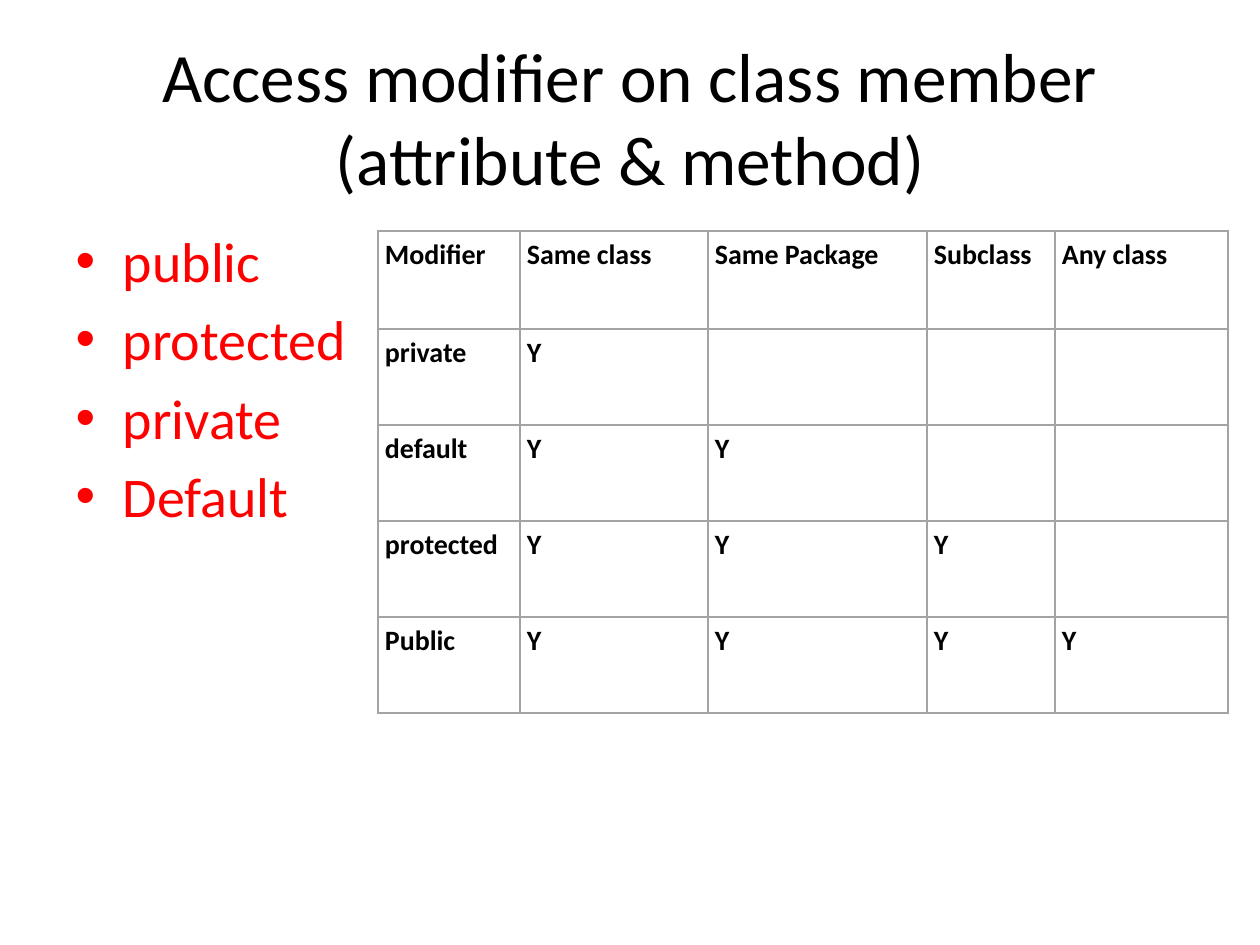
from dataclasses import dataclass

from lxml import etree
from pptx import Presentation
from pptx.dml.color import RGBColor
from pptx.enum.text import MSO_ANCHOR, MSO_AUTO_SIZE, PP_ALIGN
from pptx.oxml.ns import qn
from pptx.util import Pt

CENTER = PP_ALIGN.CENTER
MIDDLE = MSO_ANCHOR.MIDDLE
NO_AUTOFIT = MSO_AUTO_SIZE.NONE

# Content
TITLE = "Access modifier on class member (attribute & method)"
KEYWORDS = ["public", "protected", "private", "Default"]
SCOPES = ["Modifier", "Same class", "Same Package", "Subclass", "Any class"]
# Each modifier reaches one scope more than the one before it
MODIFIERS = ["private", "default", "protected", "Public"]

# Layout in px, 126 to the inch
EMU_PER_PX = 914400 / 126
SLIDE_SIZE = (1260, 945)
TITLE_BOX = (63, 38, 1134, 157)
BODY_BOX = (63, 220, 1134, 624)
TABLE_ORIGIN = (378, 231)
COLUMN_WIDTHS = [142, 188, 219, 128, 173]
HEADER_HEIGHT, ROW_HEIGHT = 98, 96
CELL_MARGIN = 7


@dataclass(frozen=True)
class Theme:
    font: str = "Calibri"
    text: str = "000000"
    keyword: str = "FF0000"
    border: str = "A3A3A3"
    title_size: float = 39.6
    body_size: float = 32
    table_size: float = 16
    border_width: float = 1


THEME = Theme()


def px(length):
    return round(length * EMU_PER_PX)


def place(shape, box):
    shape.left, shape.top, shape.width, shape.height = map(px, box)


def style_runs(text_frame, size, color, bold=False):
    for paragraph in text_frame.paragraphs:
        for run in paragraph.runs:
            run.font.name = THEME.font
            run.font.size = Pt(size)
            run.font.bold = bold
            run.font.color.rgb = RGBColor.from_string(color)


def add_borders(cell):
    properties = cell._tc.get_or_add_tcPr()
    for side in ("a:lnL", "a:lnR", "a:lnT", "a:lnB"):
        line = etree.SubElement(properties, qn(side), w=str(Pt(THEME.border_width)))
        fill = etree.SubElement(line, qn("a:solidFill"))
        etree.SubElement(fill, qn("a:srgbClr"), val=THEME.border)


def add_title(slide):
    title = slide.shapes.title
    place(title, TITLE_BOX)
    frame = title.text_frame
    frame.text = TITLE
    frame.auto_size = NO_AUTOFIT
    frame.vertical_anchor = MIDDLE
    frame.paragraphs[0].alignment = CENTER
    style_runs(frame, THEME.title_size, THEME.text)


def add_keywords(slide):
    body = slide.placeholders[1]
    place(body, BODY_BOX)
    frame = body.text_frame
    frame.text = "\n".join(KEYWORDS)
    frame.auto_size = NO_AUTOFIT
    style_runs(frame, THEME.body_size, THEME.keyword)


def add_access_table(slide):
    rows = [SCOPES]
    for reach, modifier in enumerate(MODIFIERS, start=1):
        rows.append([modifier] + ["Y"] * reach + [""] * (len(MODIFIERS) - reach))
    heights = [HEADER_HEIGHT] + [ROW_HEIGHT] * len(MODIFIERS)
    box = (*TABLE_ORIGIN, sum(COLUMN_WIDTHS), sum(heights))
    table = slide.shapes.add_table(len(rows), len(SCOPES), *map(px, box)).table
    table.first_row = table.horz_banding = False

    for column, width in zip(table.columns, COLUMN_WIDTHS):
        column.width = px(width)
    for row, height, texts in zip(table.rows, heights, rows):
        row.height = px(height)
        for cell, text in zip(row.cells, texts):
            cell.text = text
            cell.margin_left = cell.margin_right = px(CELL_MARGIN)
            cell.margin_top = cell.margin_bottom = px(CELL_MARGIN)
            style_runs(cell.text_frame, THEME.table_size, THEME.text, bold=True)
            add_borders(cell)
            cell.fill.background()


def main():
    presentation = Presentation()
    presentation.slide_width, presentation.slide_height = map(px, SLIDE_SIZE)
    slide = presentation.slides.add_slide(presentation.slide_layouts[1])
    add_title(slide)
    add_keywords(slide)
    add_access_table(slide)
    presentation.save("out.pptx")


if __name__ == "__main__":
    main()
